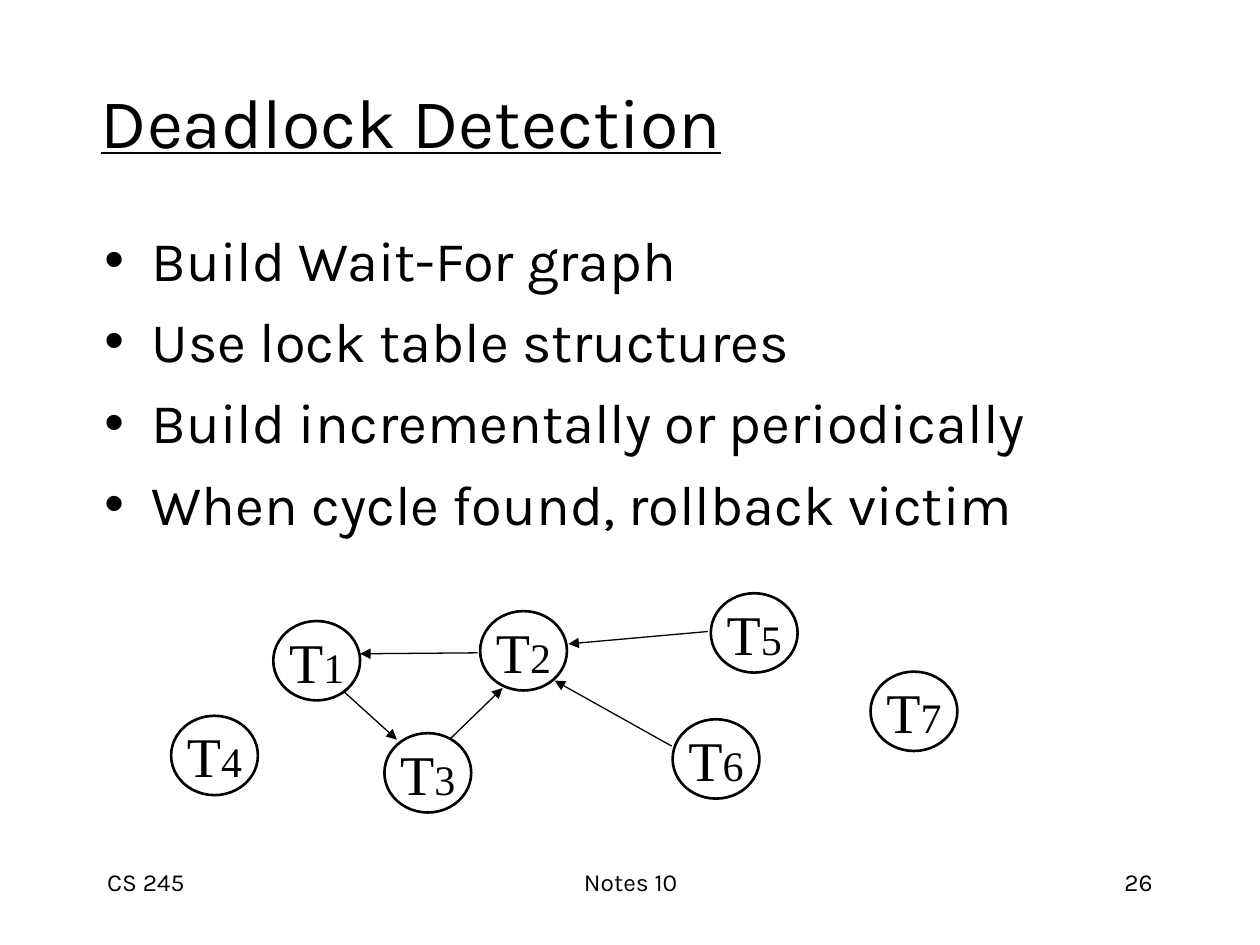
from lxml import etree
from pptx import Presentation
from pptx import util as u
from pptx.dml.color import RGBColor
from pptx.enum import shapes, text
from pptx.oxml import ns

BLACK = RGBColor(0x00, 0x00, 0x00)
WHITE = RGBColor(0xFF, 0xFF, 0xFF)
LEFT, CENTER, RIGHT = text.PP_ALIGN.LEFT, text.PP_ALIGN.CENTER, text.PP_ALIGN.RIGHT

BULLETS = (
    "Build Wait-For graph",
    "Use lock table structures",
    "Build incrementally or periodically",
    "When cycle found, rollback victim",
)
FOOTERS = (
    ("CS 245", 1.91, 5.28, LEFT),
    ("Notes 10", 8.69, 8.05, CENTER),
    ("26", 18.21, 5.28, RIGHT),
)
TRANSACTIONS = {
    "1": (5.51, 12.52),
    "2": (9.68, 12.32),
    "3": (7.75, 14.78),
    "4": (3.45, 14.43),
    "5": (14.33, 11.96),
    "6": (13.56, 14.5),
    "7": (17.55, 13.54),
}
WAITS = (
    (6.93, 13.94, 8, 14.91),
    (9.09, 14.88, 10.13, 13.87),
    (9.63, 13.16, 7.26, 13.18),
    (14.27, 12.73, 11.46, 12.98),
    (13.54, 15.04, 11.18, 13.72),
)


class SlideBuilder:
    """Holds the lecture style and the slide being filled."""

    text_font = "Karla"
    node_font = "Times New Roman"
    node_size = (1.75, 1.6)
    bullet_indent = u.Cm(0.95)

    def __init__(self, slide):
        self.slide = slide

    def run(self, paragraph, words, size, font=text_font, underline=None):
        run = paragraph.add_run()
        run.text = words
        run.font.name = font
        run.font.size = u.Pt(size)
        run.font.underline = underline
        run.font.color.rgb = BLACK

    def place(self, shape, left, top, width, height, anchor):
        shape.left, shape.top = u.Cm(left), u.Cm(top)
        shape.width, shape.height = u.Cm(width), u.Cm(height)
        frame = shape.text_frame
        frame.auto_size = text.MSO_AUTO_SIZE.NONE
        frame.vertical_anchor = anchor
        frame.word_wrap = True
        return frame

    def title(self, words):
        shape = self.slide.shapes.title
        frame = self.place(shape, 1.78, 1.24, 21.59, 2.39, text.MSO_ANCHOR.MIDDLE)
        paragraph = frame.paragraphs[0]
        paragraph.alignment = LEFT
        self.run(paragraph, words, 40, underline=True)

    def bullets(self, items):
        shape = self.slide.placeholders[1]
        frame = self.place(shape, 1.85, 4.42, 21.59, 6.81, text.MSO_ANCHOR.TOP)
        for index, item in enumerate(items):
            paragraph = frame.add_paragraph() if index else frame.paragraphs[0]
            properties = paragraph._p.get_or_add_pPr()
            properties.set("marL", str(self.bullet_indent))
            properties.set("indent", str(-self.bullet_indent))
            color = etree.SubElement(properties, ns.qn("a:buClr"))
            etree.SubElement(color, ns.qn("a:srgbClr"), val=str(BLACK))
            etree.SubElement(properties, ns.qn("a:buChar"), char="•")
            paragraph.space_before = u.Pt(8 if index else 0)
            self.run(paragraph, item, 32)

    def footer(self, words, left, width, alignment):
        shape = self.slide.shapes.add_textbox(0, 0, 0, 0)
        frame = self.place(shape, left, 17.35, width, 1.27, text.MSO_ANCHOR.TOP)
        paragraph = frame.paragraphs[0]
        paragraph.alignment = alignment
        self.run(paragraph, words, 14)

    def node(self, number, left, top):
        shape = self.slide.shapes.add_shape(shapes.MSO_SHAPE.OVAL, 0, 0, 0, 0)
        frame = self.place(shape, left, top, *self.node_size, text.MSO_ANCHOR.MIDDLE)
        frame.word_wrap = False
        shape.shadow.inherit = False
        shape.fill.solid()
        shape.fill.fore_color.rgb = WHITE
        shape.line.color.rgb = BLACK
        shape.line.width = u.Pt(1.5)
        paragraph = frame.paragraphs[0]
        paragraph.alignment = CENTER
        self.run(paragraph, "T", 32, self.node_font)
        self.run(paragraph, number, 24, self.node_font)

    def arrow(self, *ends):
        connector = self.slide.shapes.add_connector(
            shapes.MSO_CONNECTOR.STRAIGHT, *(u.Cm(end) for end in ends)
        )
        connector.line.color.rgb = BLACK
        connector.line.width = u.Pt(0.75)
        outline = connector.line._get_or_add_ln()
        etree.SubElement(outline, ns.qn("a:tailEnd"), type="triangle")
        etree.SubElement(connector._element.spPr, ns.qn("a:effectLst"))


def main():
    presentation = Presentation()
    presentation.slide_width, presentation.slide_height = u.Cm(25.4), u.Cm(19.05)
    slide = presentation.slides.add_slide(presentation.slide_layouts[1])
    builder = SlideBuilder(slide)
    builder.title("Deadlock Detection")
    builder.bullets(BULLETS)
    for footer in FOOTERS:
        builder.footer(*footer)
    for number, corner in TRANSACTIONS.items():
        builder.node(number, *corner)
    for wait in WAITS:
        builder.arrow(*wait)
    presentation.save("out.pptx")


if __name__ == "__main__":
    main()
